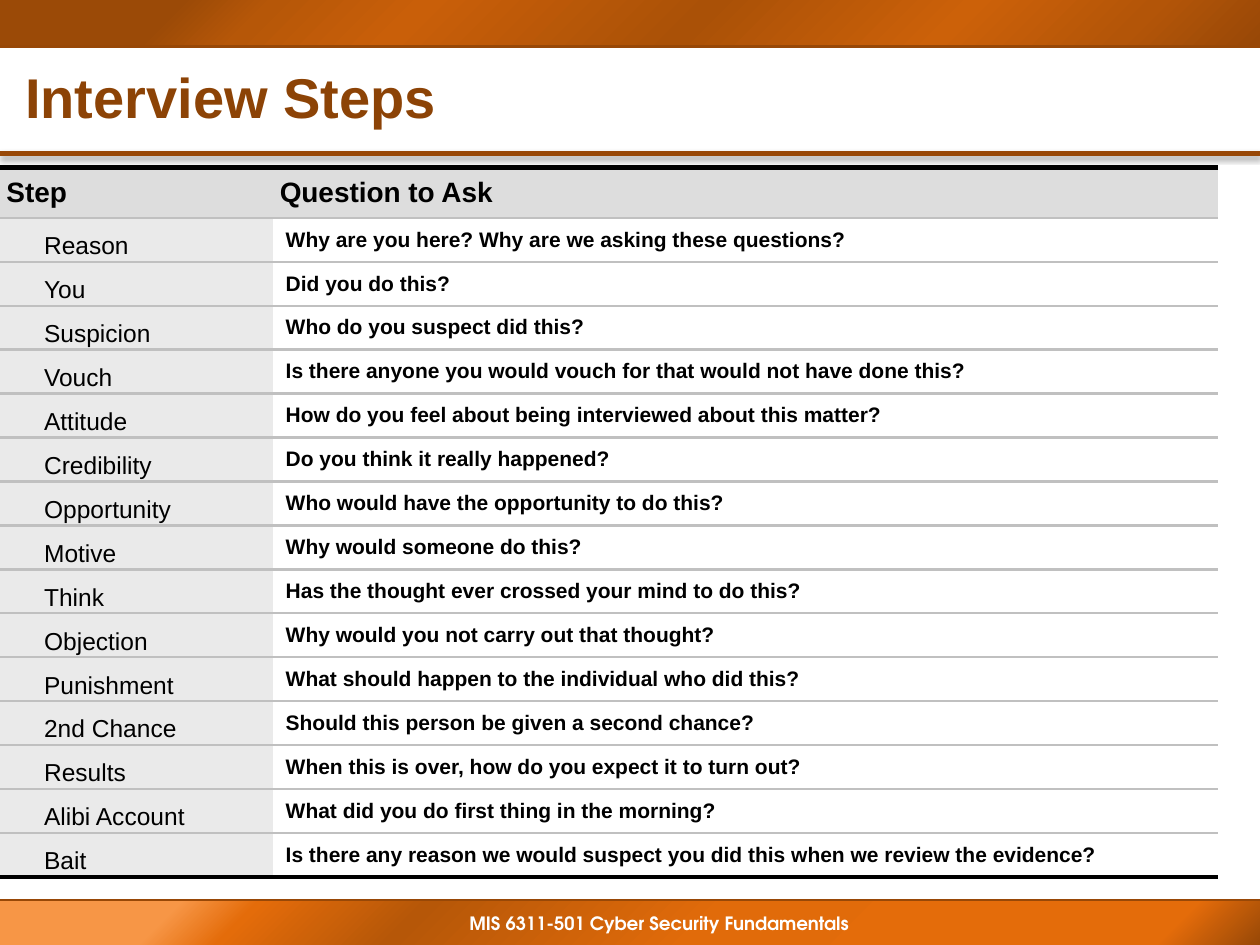
from pptx import Presentation
from pptx.dml.color import RGBColor
from pptx.enum.shapes import MSO_CONNECTOR, MSO_SHAPE
from pptx.enum.text import MSO_ANCHOR, PP_ALIGN
from pptx.oxml import parse_xml
from pptx.oxml.ns import nsdecls
from pptx.util import Cm, Pt

COLORS = {
    "rust": "984807", "title": "8C4306", "black": "000000", "white": "FFFFFF",
    "rule": "C0C0C0", "header": "DDDDDD", "step": "EAEAEA",
}
TOP_STOPS = [(14, "9B4A07"), (21, "B65708"), (33, "C95F09"), (55, "AA5107"),
             (75, "CC6109"), (89, "B35508"), (100, "984807")]
FOOTER_STOPS = [(14, "F79646"), (20, "E46C0A"), (33, "B65708"), (56, "E16B0A"),
                (78, "E46C0A"), (92, "E46C0A"), (100, "984807")]
STEPS = [
    ("Reason", "Why are you here? Why are we asking these questions?"),
    ("You", "Did you do this?"),
    ("Suspicion", "Who do you suspect did this?"),
    ("Vouch", "Is there anyone you would vouch for that would not have done this?"),
    ("Attitude", "How do you feel about being interviewed about this matter?"),
    ("Credibility", "Do you think it really happened?"),
    ("Opportunity", "Who would have the opportunity to do this?"),
    ("Motive", "Why would someone do this?"),
    ("Think", "Has the thought ever crossed your mind to do this?"),
    ("Objection", "Why would you not carry out that thought?"),
    ("Punishment", "What should happen to the individual who did this?"),
    ("2nd Chance", "Should this person be given a second chance?"),
    ("Results", "When this is over, how do you expect it to turn out?"),
    ("Alibi Account", "What did you do first thing in the morning?"),
    ("Bait", "Is there any reason we would suspect you did this when we review the evidence?"),
]
WIDTH = 25.4
HEADER_H = 1.01
ROW_H = (14.3 - HEADER_H) / len(STEPS)


def rgb(name):
    return RGBColor.from_string(COLORS[name])


class SlideBuilder:
    """Holds the text style and the slide being drawn; lengths are in cm."""

    font = "Arial"

    def __init__(self, slide):
        self.slide = slide

    def style(self, p, size, color="black", bold=False, font=None):
        f = p.font
        f.name, f.size, f.bold = font or self.font, Pt(size), bold
        f.color.rgb = rgb(color)

    def band(self, y, h, stops):
        """Full-width bar with a diagonal gradient."""
        sp = self.slide.shapes.add_shape(MSO_SHAPE.RECTANGLE, 0, Cm(y), Cm(WIDTH), Cm(h))
        sp.shadow.inherit = False
        sp.line.fill.background()
        gs = "".join(f'<a:gs pos="{pos * 1000}"><a:srgbClr val="{c}"/></a:gs>'
                     for pos, c in stops)
        sp._element.spPr.find("{*}prstGeom").addnext(parse_xml(
            f'<a:gradFill {nsdecls("a")} rotWithShape="1"><a:gsLst>{gs}</a:gsLst>'
            '<a:lin ang="2700000" scaled="0"/></a:gradFill>'))

    def rule(self, y, weight, shadow=False):
        line = self.slide.shapes.add_connector(
            MSO_CONNECTOR.STRAIGHT, 0, Cm(y), Cm(WIDTH), Cm(y))
        line.line.color.rgb = rgb("rust")
        line.line.width = Pt(weight)
        effect = (f'<a:outerShdw blurRad="{Pt(3.1)}" dist="{Pt(1.6)}" dir="5400000" '
                  f'rotWithShape="0"><a:srgbClr val="{COLORS["black"]}">'
                  '<a:alpha val="38000"/></a:srgbClr></a:outerShdw>') if shadow else ""
        line._element.spPr.append(parse_xml(
            f'<a:effectLst {nsdecls("a")}>{effect}</a:effectLst>'))

    def text(self, x, y, w, h, lines, size, color="black", bold=False, font=None,
             align=PP_ALIGN.LEFT, anchor=MSO_ANCHOR.TOP, spacing=None, left=0.25):
        tf = self.slide.shapes.add_textbox(Cm(x), Cm(y), Cm(w), Cm(h)).text_frame
        tf.word_wrap = True
        tf.vertical_anchor = anchor
        tf.margin_left = Cm(left)
        tf.text = "\n".join(lines)
        for p in tf.paragraphs:
            p.alignment = align
            p.line_spacing = spacing
            self.style(p, size, color, bold, font)
        return tf

    def cell(self, cell, text, size, fill, margin, top, bottom):
        """Fill one table cell; top and bottom are (colour, points) borders."""
        cell.text = text
        cell.vertical_anchor = MSO_ANCHOR.MIDDLE
        cell.margin_left = cell.margin_right = Cm(margin)
        cell.margin_top = cell.margin_bottom = Cm(0.13 if text else 0)
        self.style(cell.text_frame.paragraphs[0], size, bold=True)
        cell.fill.solid()
        cell.fill.fore_color.rgb = rgb(fill)
        borders = [("L", None), ("R", None), ("T", top), ("B", bottom)]
        for i, (side, border) in enumerate(borders):
            if border:
                color, weight = border
                xml = (f'<a:ln{side} {nsdecls("a")} w="{Pt(weight)}"><a:solidFill>'
                       f'<a:srgbClr val="{COLORS[color]}"/></a:solidFill></a:ln{side}>')
            else:
                xml = f'<a:ln{side} {nsdecls("a")} w="0"><a:noFill/></a:ln{side}>'
            cell._tc.get_or_add_tcPr().insert(i, parse_xml(xml))

    def question_table(self, y, widths):
        table = self.slide.shapes.add_table(
            len(STEPS) + 1, 2, 0, Cm(y), Cm(sum(widths)),
            Cm(HEADER_H + ROW_H * len(STEPS))).table
        table.first_row = table.horz_banding = False
        for col, w in zip(table.columns, widths):
            col.width = Cm(w)
        thin, thick = ("rule", 1.5), ("black", 3)
        table.rows[0].height = Cm(HEADER_H)
        for c, text in enumerate(("Step", "Question to Ask")):
            self.cell(table.cell(0, c), text, 16, "header", 0.13, thick, thin)
        for r, (_, question) in enumerate(STEPS, 1):
            table.rows[r].height = Cm(ROW_H)
            bottom = thick if r == len(STEPS) else thin
            self.cell(table.cell(r, 0), "", 12, "step", 0.25, thin, bottom)
            self.cell(table.cell(r, 1), question, 12, "white", 0.25, thin, bottom)


def main():
    prs = Presentation()
    prs.slide_width, prs.slide_height = Cm(WIDTH), Cm(19.05)
    s = SlideBuilder(prs.slides.add_slide(prs.slide_layouts[6]))

    s.band(18.14, 0.91, FOOTER_STOPS)
    s.rule(3.1, 3, shadow=True)
    s.text(3.61, 18.26, 18.85, 0.74, ["MIS 6311-501 Cyber Security Fundamentals"], 10.5,
           "white", True, "TeX Gyre Adventor", PP_ALIGN.CENTER, left=0.76)
    s.band(0, 0.91, TOP_STOPS)
    s.rule(18.14, 1.5)
    s.rule(0.94, 1.5)
    s.text(0, 1.07, WIDTH, 1.9, ["Interview Steps"], 32, "title", True,
           anchor=MSO_ANCHOR.MIDDLE, spacing=0.9, left=0.51)
    s.question_table(3.38, (5.51, 19.05))
    s.text(0.64, 4.22, 5.08, 13.56, [step for step, _ in STEPS], 14, spacing=Cm(ROW_H))

    prs.save("out.pptx")


if __name__ == "__main__":
    main()
